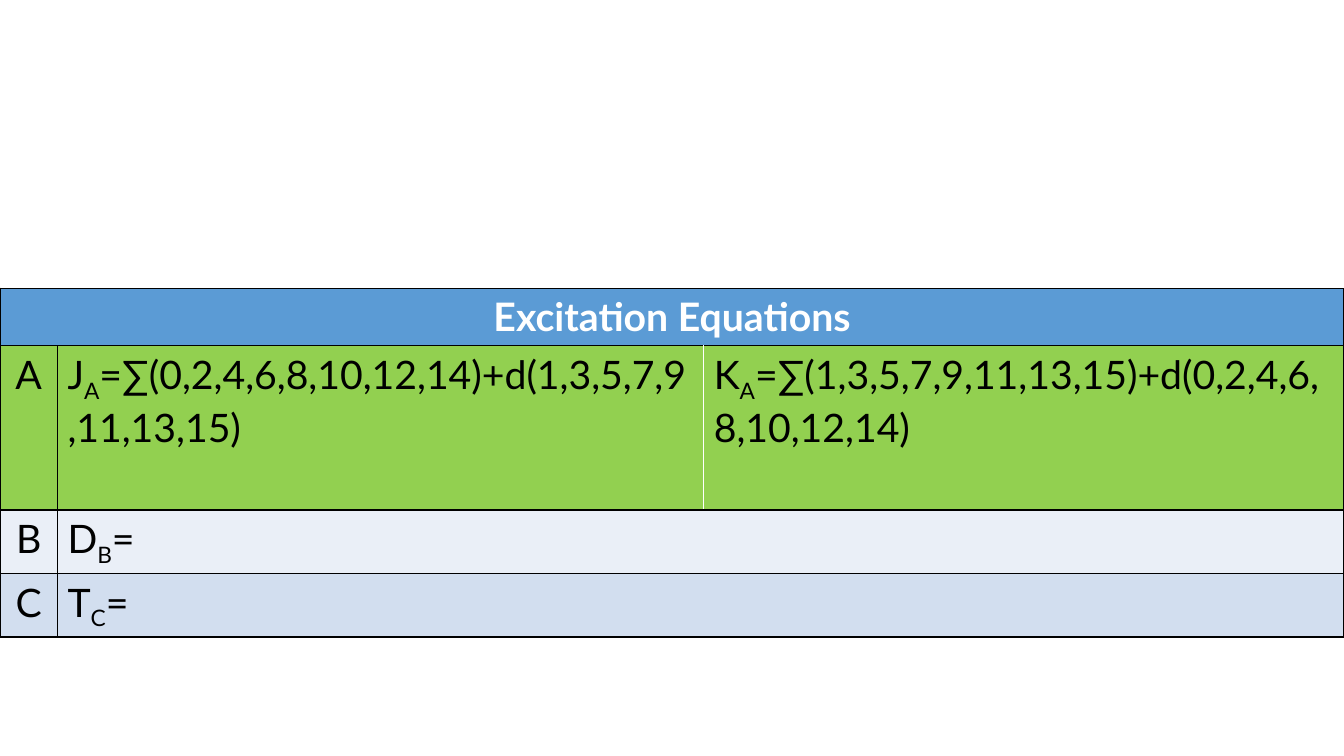
from dataclasses import dataclass

from lxml import etree
from pptx import Presentation
from pptx.dml.color import RGBColor
from pptx.enum.text import PP_ALIGN
from pptx.oxml.ns import qn
from pptx.util import Inches, Pt

CENTER, LEFT = PP_ALIGN.CENTER, PP_ALIGN.LEFT
BLANK_LAYOUT = 6


@dataclass(frozen=True)
class Theme:
    font: str = "Lato"
    size: int = 28
    border_width: int = 1
    subscript: int = -25000
    black: str = "000000"
    white: str = "FFFFFF"
    header: str = "5B9BD5"
    highlight: str = "92D050"
    light_band: str = "EAEFF7"
    dark_band: str = "D2DEEF"


THEME = Theme()
COLUMN_WIDTHS = (0.57, 6.41, 6.35)
ROW_HEIGHTS = (0.57, 1.63, 0.63, 0.63)

# Flip-flop name, row fill, and its equations as (input, right-hand side)
FLIP_FLOPS = (
    ("A", THEME.highlight, (("J", "=∑(0,2,4,6,8,10,12,14)+d(1,3,5,7,9,11,13,15)"),
                            ("K", "=∑(1,3,5,7,9,11,13,15)+d(0,2,4,6,8,10,12,14)"))),
    ("B", THEME.light_band, (("D", "="),)),
    ("C", THEME.dark_band, (("T", "="),)),
)


def style_cell(cell, fill, left=THEME.black, right=THEME.black):
    """Draw the four borders, then fill the cell."""
    properties = cell._tc.get_or_add_tcPr()
    sides = {"L": left, "R": right, "T": THEME.black, "B": THEME.black}
    for side, color in sides.items():
        border = etree.SubElement(properties, qn(f"a:ln{side}"),
                                  w=str(Pt(THEME.border_width)))
        solid = etree.SubElement(border, qn("a:solidFill"))
        etree.SubElement(solid, qn("a:srgbClr"), val=color)
    cell.fill.solid()
    cell.fill.fore_color.rgb = RGBColor.from_string(fill)


def write_cell(cell, parts, align=LEFT, color=THEME.black, bold=False):
    """Write (text, is_subscript) parts into the cell."""
    paragraph = cell.text_frame.paragraphs[0]
    paragraph.alignment = align
    paragraph.font.name = THEME.font
    paragraph.font.size = Pt(THEME.size)
    paragraph.font.bold = bold
    paragraph.font.color.rgb = RGBColor.from_string(color)
    for text, is_subscript in parts:
        run = paragraph.add_run()
        run.text = text
        if is_subscript:
            run._r.get_or_add_rPr().set("baseline", str(THEME.subscript))


def add_equation_table(slide):
    frame = slide.shapes.add_table(len(ROW_HEIGHTS), len(COLUMN_WIDTHS),
                                   Inches(0), Inches(2.86),
                                   Inches(sum(COLUMN_WIDTHS)), Inches(sum(ROW_HEIGHTS)))
    table = frame.table
    table.first_row = table.horz_banding = False
    for column, width in zip(table.columns, COLUMN_WIDTHS):
        column.width = Inches(width)
    for row, height in zip(table.rows, ROW_HEIGHTS):
        row.height = Inches(height)
    return table


def fill_header(table, title):
    last = len(COLUMN_WIDTHS) - 1
    for column in range(last + 1):
        style_cell(table.cell(0, column), THEME.header)
    table.cell(0, 0).merge(table.cell(0, last))
    write_cell(table.cell(0, 0), [(title, False)], CENTER, THEME.white, bold=True)


def fill_flip_flop(table, row, name, fill, equations):
    label, first, second = (table.cell(row, column) for column in range(3))
    divider = THEME.white if len(equations) == 2 else THEME.black
    style_cell(label, fill)
    style_cell(first, fill, right=divider)
    style_cell(second, fill, left=divider)
    if len(equations) == 1:
        first.merge(second)
    write_cell(label, [(name, False)], CENTER)
    for cell, (signal, expression) in zip((first, second), equations):
        write_cell(cell, [(signal, False), (name, True), (expression, False)])


def main():
    prs = Presentation()
    prs.slide_width, prs.slide_height = Inches(13.33), Inches(7.5)
    slide = prs.slides.add_slide(prs.slide_layouts[BLANK_LAYOUT])

    # Excitation equations, one row per flip-flop
    table = add_equation_table(slide)
    fill_header(table, "Excitation Equations")
    for row, (name, fill, equations) in enumerate(FLIP_FLOPS, start=1):
        fill_flip_flop(table, row, name, fill, equations)

    prs.save("out.pptx")


if __name__ == "__main__":
    main()
